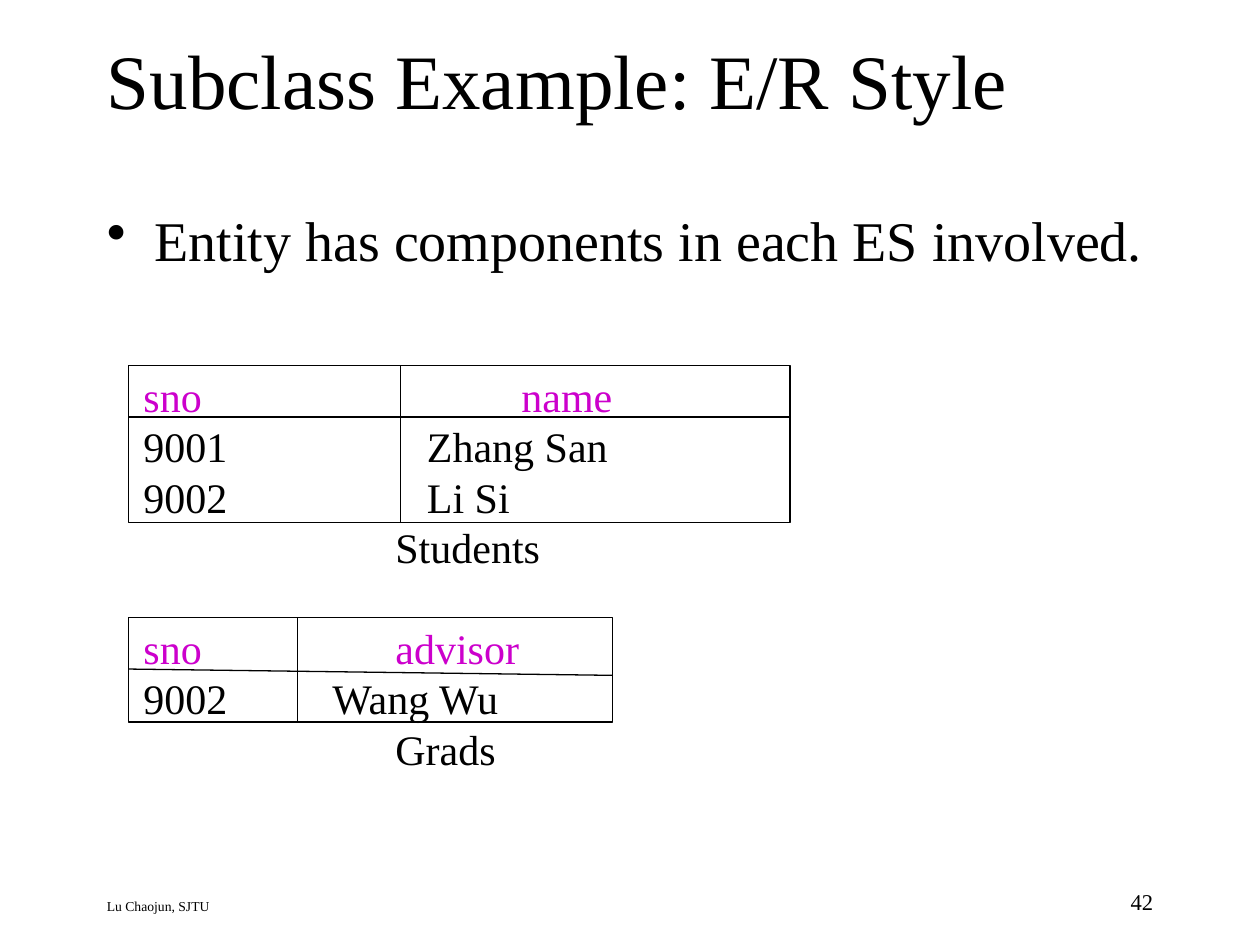
"""Build the slide on subclasses stored in E/R style."""
from dataclasses import dataclass

from lxml import etree
from pptx import Presentation
from pptx import util as u
from pptx.dml.color import RGBColor
from pptx.enum import shapes, text
from pptx.oxml.ns import qn


@dataclass(frozen=True)
class Theme:
    font: str = "Times New Roman"
    ink: str = "000000"
    heading: str = "CC00CC"
    title: float = 44
    body: float = 32
    rows: float = 24
    number: float = 12.9
    footer: float = 7.8
    leading: float = 1.2
    rule: float = 0.75


class Sheet:
    def __init__(self, slide, theme):
        self.slide, self.theme = slide, theme

    def box(self, left, top, width, height, anchor=text.MSO_ANCHOR.TOP):
        area = self.slide.shapes.add_textbox(*map(u.Inches, (left, top, width, height)))
        frame = area.text_frame
        frame.word_wrap = True
        frame.vertical_anchor = anchor
        return frame

    def paragraph(self, frame, words, size, color=None, tab=None, bullet=False,
                  before=0, align=text.PP_ALIGN.LEFT):
        first = frame.paragraphs[0]
        line = frame.add_paragraph() if first.runs else first
        props = line._p.get_or_add_pPr()
        if bullet:
            props.set("marL", str(u.Inches(0.38)))
            props.set("indent", str(u.Inches(-0.38)))
            etree.SubElement(props, qn("a:buChar")).set("char", "•")
        if tab is not None:
            stops = etree.SubElement(props, qn("a:tabLst"))
            etree.SubElement(stops, qn("a:tab"), pos=str(u.Inches(tab)), algn="l")
        line.alignment = align
        line.line_spacing = u.Pt(size * self.theme.leading)
        if before:
            line.space_before = u.Pt(before)
        run = line.add_run()
        run.text = words
        run.font.name = self.theme.font
        run.font.size = u.Pt(size)
        run.font.color.rgb = RGBColor.from_string(color or self.theme.ink)

    def outline(self, left, top, width, height):
        border = self.slide.shapes.add_shape(
            shapes.MSO_SHAPE.RECTANGLE, *map(u.Inches, (left, top, width, height)))
        border.shadow.inherit = False
        border.fill.background()
        self.stroke(border.line)

    def rule(self, x1, y1, x2, y2):
        divider = self.slide.shapes.add_connector(
            shapes.MSO_CONNECTOR.STRAIGHT, *map(u.Inches, (x1, y1, x2, y2)))
        self.stroke(divider.line)
        etree.SubElement(divider._element.spPr, qn("a:effectLst"))

    def stroke(self, line):
        line.color.rgb = RGBColor.from_string(self.theme.ink)
        line.width = u.Pt(self.theme.rule)

    def relation(self, top, width, height, column, slope=0):
        left, header = 1.02, top + 0.41
        self.outline(left, top, width, height)
        self.rule(left, header, left + width, header + slope)
        self.rule(column, top, column, top + height)


def main():
    deck = Presentation()
    deck.slide_width, deck.slide_height = u.Inches(10), u.Inches(7.5)
    theme = Theme()
    sheet = Sheet(deck.slides.add_slide(deck.slide_layouts[6]), theme)

    title = sheet.box(0.75, 0, 8.5, 1.25, text.MSO_ANCHOR.MIDDLE)
    sheet.paragraph(title, "Subclass Example: E/R Style", theme.title)
    body = sheet.box(0.75, 1.58, 8.5, 5.08)
    sheet.paragraph(body, "Entity has components in each ES involved.", theme.body, bullet=True)
    footer = sheet.box(0.75, 7.08, 5.8, 0.25)
    sheet.paragraph(footer, "Lu Chaojun, SJTU", theme.footer)
    number = sheet.box(7.17, 7, 2.08, 0.33)
    sheet.paragraph(number, "42", theme.number, align=text.PP_ALIGN.RIGHT)

    gap = theme.rows * theme.leading
    rows = [
        ("sno\tname", 3, theme.heading, 0),
        ("9001\tZhang San", 2.25, theme.ink, 0),
        ("9002\tLi Si", 2.25, theme.ink, 0),
        ("\tStudents", 2, theme.ink, 0),
        ("sno\tadvisor", 2, theme.heading, gap),
        ("9002\tWang Wu", 1.5, theme.ink, 0),
        ("\tGrads", 2, theme.ink, 0),
    ]
    relations = sheet.box(1.04, 2.89, 4, 3.3)
    for words, tab, color, before in rows:
        sheet.paragraph(relations, words, theme.rows, color, tab, before=before)

    sheet.relation(top=2.9, width=5.25, height=1.25, column=3.18)
    sheet.relation(top=4.9, width=3.84, height=0.83, column=2.36, slope=0.05)
    deck.save("out.pptx")


if __name__ == "__main__":
    main()
